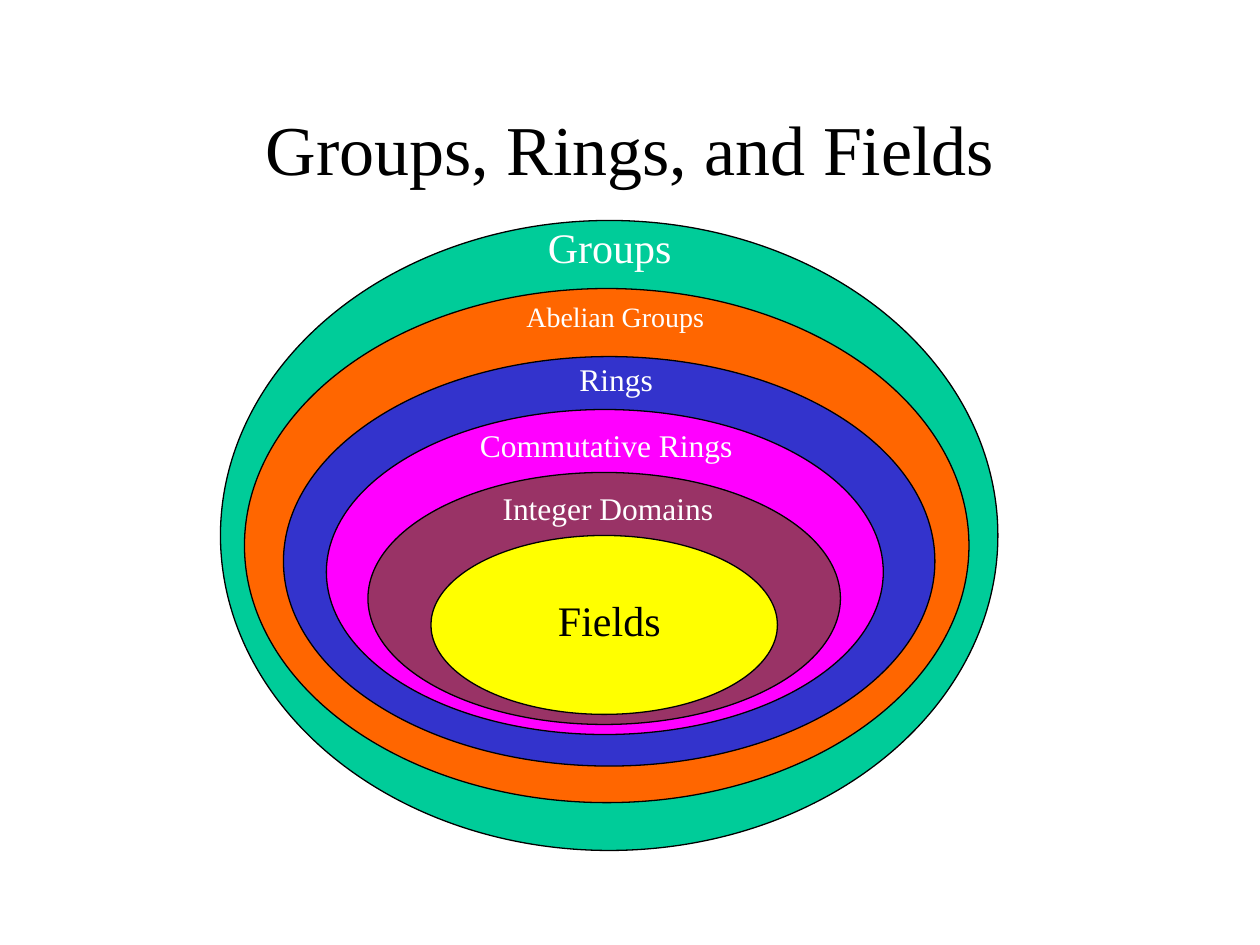
import pptx
import pptx.dml.color
import pptx.enum.shapes
import pptx.enum.text
import pptx.util
from dataclasses import dataclass

Inches = pptx.util.Inches
Align = pptx.enum.text.PP_ALIGN
Anchor = pptx.enum.text.MSO_ANCHOR
AutoSize = pptx.enum.text.MSO_AUTO_SIZE


@dataclass(frozen=True)
class Theme:
    font: str = "Times New Roman"
    black: str = "000000"
    white: str = "FFFFFF"
    green: str = "00CC99"
    orange: str = "FF6600"
    blue: str = "3333CC"
    magenta: str = "FF00FF"
    plum: str = "993366"
    yellow: str = "FFFF00"
    title_size: int = 40
    large: int = 24
    medium: int = 18
    small: int = 16
    outline: float = 0.75


def rgb(color):
    return pptx.dml.color.RGBColor.from_string(color)


def write_text(frame, text, *, font, size, color, align=Align.LEFT):
    paragraph = frame.paragraphs[0]
    paragraph.alignment = align
    run = paragraph.add_run()
    run.text = text
    run.font.name = font
    run.font.size = pptx.util.Pt(size)
    run.font.color.rgb = rgb(color)


class SlideBuilder:
    def __init__(self, slide, theme):
        self.slide = slide
        self.theme = theme

    def text(self, box, text, size, color, *, align=Align.LEFT,
             anchor=Anchor.TOP, auto_size=AutoSize.SHAPE_TO_FIT_TEXT):
        shape = self.slide.shapes.add_textbox(*map(Inches, box))
        frame = shape.text_frame
        frame.word_wrap = True
        frame.auto_size = auto_size
        frame.vertical_anchor = anchor
        write_text(frame, text, font=self.theme.font, size=size,
                   color=color, align=align)

    def ellipse(self, box, color):
        shape = self.slide.shapes.add_shape(
            pptx.enum.shapes.MSO_SHAPE.OVAL, *map(Inches, box))
        shape.shadow.inherit = False
        shape.fill.solid()
        shape.fill.fore_color.rgb = rgb(color)
        shape.line.color.rgb = rgb(self.theme.black)
        shape.line.width = pptx.util.Pt(self.theme.outline)


def main():
    theme = Theme()
    presentation = pptx.Presentation()
    presentation.slide_width = Inches(10)
    presentation.slide_height = Inches(7.5)
    slide = presentation.slides.add_slide(presentation.slide_layouts[6])
    builder = SlideBuilder(slide, theme)

    # Title
    builder.text((0.75, 0.67, 8.5, 1), "Groups, Rings, and Fields",
                 theme.title_size, theme.black, align=Align.CENTER,
                 anchor=Anchor.MIDDLE, auto_size=AutoSize.NONE)

    # Nested sets, outermost first: ellipse, fill, label, label box, size, color
    nested_sets = [
        ((1.75, 1.75, 6.17, 5), theme.green,
         "Groups", (4.25, 1.71, 1.33, 0.5), theme.large, theme.white),
        ((1.94, 2.29, 5.75, 4.08), theme.orange,
         "Abelian Groups", (4.08, 2.33, 1.67, 0.37), theme.small, theme.white),
        ((2.25, 2.83, 5.17, 3.25), theme.blue,
         "Rings", (4.5, 2.81, 1.08, 0.4), theme.medium, theme.white),
        ((2.59, 3.25, 4.42, 2.58), theme.magenta,
         "Commutative Rings", (3.71, 3.33, 2.33, 0.4), theme.medium, theme.white),
        ((2.92, 3.75, 3.75, 2), theme.plum,
         "Integer Domains", (3.89, 3.83, 1.92, 0.4), theme.medium, theme.white),
        ((3.42, 4.25, 2.75, 1.42), theme.yellow,
         "Fields", (4.33, 4.67, 1.08, 0.5), theme.large, theme.black),
    ]
    for ellipse_box, fill, label, label_box, size, color in nested_sets:
        builder.ellipse(ellipse_box, fill)
        builder.text(label_box, label, size, color)

    presentation.save("out.pptx")


if __name__ == "__main__":
    main()
